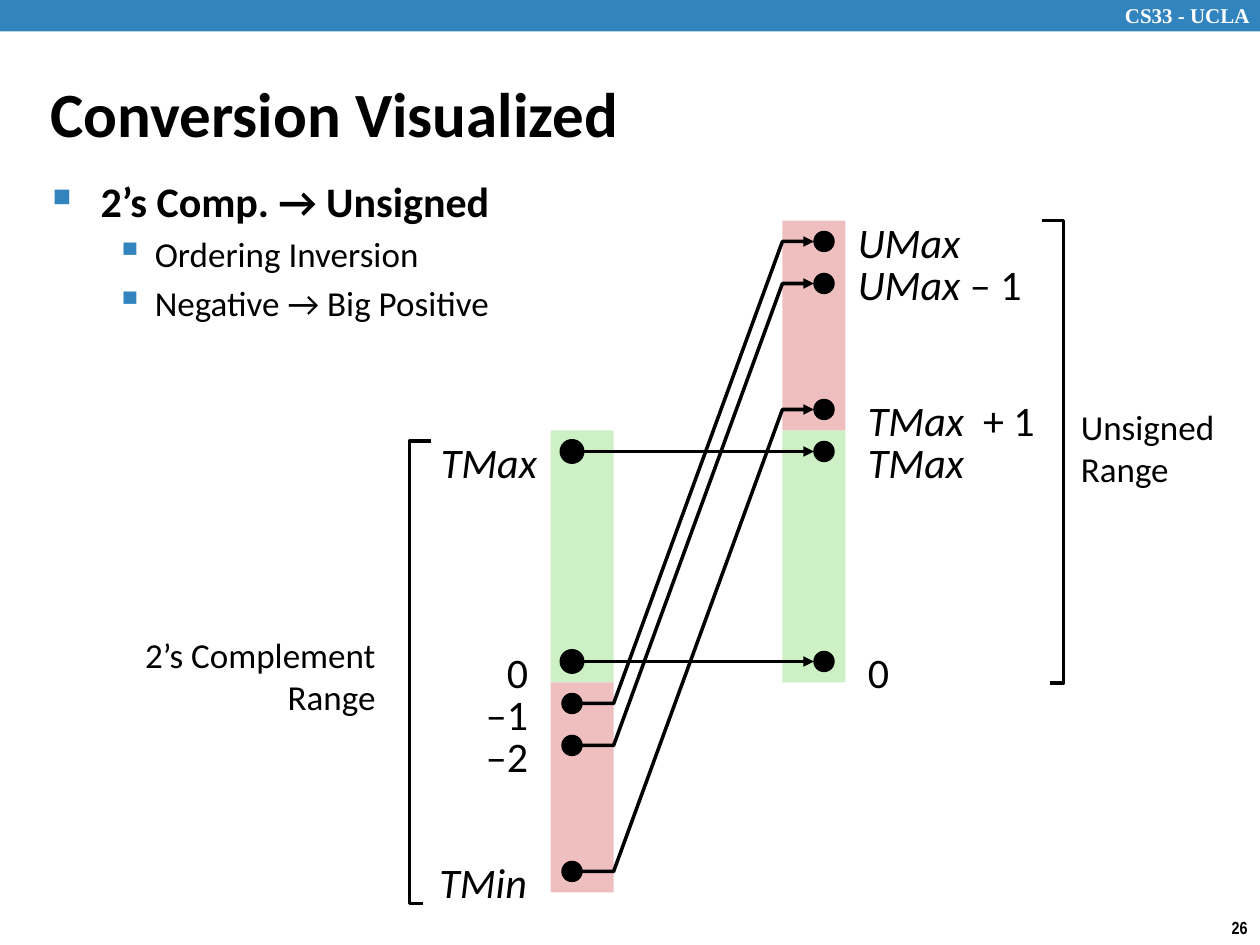
from dataclasses import dataclass

from lxml.etree import SubElement
from pptx import Presentation
from pptx.dml.color import RGBColor
from pptx.enum.shapes import MSO_CONNECTOR as Connector, MSO_SHAPE as Shape
from pptx.enum.text import MSO_ANCHOR as Anchor, PP_ALIGN as Align
from pptx.oxml.ns import qn
from pptx.util import Inches, Pt


@dataclass(frozen=True)
class Theme:
    accent: str = "3284BF"
    ink: str = "000000"
    paper: str = "FFFFFF"
    shared: str = "CDF1C5"
    moved: str = "EFBFBF"
    body_font: str = "Calibri"
    header_font: str = "Times New Roman"
    number_font: str = "Arial Narrow"
    title: int = 36
    label: int = 24
    note: int = 20
    header: int = 12
    number: int = 10
    stroke: int = 2


THEME = Theme()

# Number scale: one row per drawn value, with zero at ZERO_Y
STEP = 1 / 3
ZERO_Y = 5.25
BAR_W, DOT = 0.5, 0.17
SIGNED_BAR, UNSIGNED_BAR = 4.37, 6.21
SIGNED_DOT, UNSIGNED_DOT = 4.54, 6.54


def row_y(row):
    return ZERO_Y - row * STEP


def add_filled(slide, kind, box, color, outlined=False):
    shape = slide.shapes.add_shape(kind, *map(Inches, box))
    shape.shadow.inherit = False
    shape.fill.solid()
    shape.fill.fore_color.rgb = RGBColor.from_string(color)
    if outlined:
        style_line(shape)
    else:
        shape.line.fill.background()


def style_line(shape, arrow=False):
    shape.line.color.rgb = RGBColor.from_string(THEME.ink)
    shape.line.width = Pt(THEME.stroke)
    if arrow:
        SubElement(shape.line._get_or_add_ln(), qn("a:tailEnd"), type="triangle")


def add_bar(slide, left, top_row, rows, color):
    """Add a bar whose top edge lies half a row above top_row."""
    top = row_y(top_row + 0.5)
    add_filled(slide, Shape.RECTANGLE, (left, top, BAR_W, rows * STEP), color)


def add_dot(slide, center_x, row, outlined=False):
    box = (center_x - DOT / 2, row_y(row) - DOT / 2, DOT, DOT)
    add_filled(slide, Shape.OVAL, box, THEME.ink, outlined)


def add_polyline(slide, points, arrow=False):
    start, *rest = [(Inches(x), Inches(y)) for x, y in points]
    builder = slide.shapes.build_freeform(*start)
    builder.add_line_segments(rest, close=False)
    line = builder.convert_to_shape()
    line.shadow.inherit = False
    line.fill.background()
    style_line(line, arrow)


def add_arrow(slide, row):
    y = Inches(row_y(row))
    arrow = slide.shapes.add_connector(
        Connector.STRAIGHT, Inches(4.62), y, Inches(6.46), y)
    style_line(arrow, arrow=True)
    SubElement(arrow._element.spPr, qn("a:effectLst"))


def add_run(paragraph, text, **formats):
    run = paragraph.add_run()
    run.text = text
    values = {"name": THEME.body_font, "size": Pt(THEME.label)} | formats
    color = values.pop("color", THEME.ink)
    for name, value in values.items():
        setattr(run.font, name, value)
    run.font.color.rgb = RGBColor.from_string(color)


def add_frame(slide, box):
    frame = slide.shapes.add_textbox(*map(Inches, box)).text_frame
    frame.word_wrap = True
    return frame


def add_text(slide, box, lines, align=Align.LEFT, anchor=Anchor.TOP, **formats):
    frame = add_frame(slide, box)
    frame.vertical_anchor = anchor
    for i, line in enumerate(lines):
        paragraph = frame.add_paragraph() if i else frame.paragraphs[0]
        paragraph.alignment = align
        add_run(paragraph, line, **formats)


def add_value_label(slide, left, top, width, name, number, align):
    """Add a label with an italic name followed by an upright number."""
    paragraph = add_frame(slide, (left, top, width, 0.51)).paragraphs[0]
    paragraph.alignment = align
    for text, italic in ((name, True), (number, False)):
        if text:
            add_run(paragraph, text, italic=italic)


def add_bullets(slide, box, items):
    frame = add_frame(slide, box)
    looks = (
        {"char": "■", "pct": 60, "margin": 0.38, "hang": 0.38,
         "size": THEME.label, "bold": True},
        {"char": "▪", "pct": 110, "margin": 0.81, "hang": 0.31,
         "size": THEME.note, "bold": False},
    )
    for i, (level, text) in enumerate(items):
        look = looks[level]
        paragraph = frame.add_paragraph() if i else frame.paragraphs[0]
        paragraph.level = level
        props = paragraph._p.get_or_add_pPr()
        props.set("marL", str(Inches(look["margin"])))
        props.set("indent", str(-Inches(look["hang"])))
        color = SubElement(props, qn("a:buClr"))
        SubElement(color, qn("a:srgbClr"), val=THEME.accent)
        SubElement(props, qn("a:buSzPct"), val=str(look["pct"] * 1000))
        SubElement(props, qn("a:buChar"), char=look["char"])
        if i:
            paragraph.space_before = Pt(4)
        add_run(paragraph, text, size=Pt(look["size"]), bold=look["bold"])


def add_page_frame(slide):
    add_filled(slide, Shape.RECTANGLE, (0, 0, 10, 0.25), THEME.accent)
    add_text(slide, (8.83, -0.03, 1.24, 0.3), ["CS33 - UCLA"], bold=True,
             name=THEME.header_font, size=Pt(THEME.header), color=THEME.paper)
    add_text(slide, (9.56, 7.23, 0.44, 0.27), ["26"], Align.RIGHT, bold=True,
             name=THEME.number_font, size=Pt(THEME.number))
    add_text(slide, (0.3, 0.58, 8.69, 0.63), ["Conversion Visualized"],
             anchor=Anchor.MIDDLE, bold=True, size=Pt(THEME.title))


def add_mapping(slide):
    for left in (UNSIGNED_BAR, SIGNED_BAR):
        add_bar(slide, left, 5, 6, THEME.shared)
    add_bar(slide, SIGNED_BAR, -1, 5, THEME.moved)
    add_bar(slide, UNSIGNED_BAR, 10, 5, THEME.moved)

    for row in (0, 5):
        add_dot(slide, SIGNED_DOT, row, outlined=True)
        add_dot(slide, UNSIGNED_DOT, row)
        add_arrow(slide, row)
    for signed, unsigned in ((-1, 10), (-2, 9), (-5, 6)):
        add_dot(slide, SIGNED_DOT, signed)
        add_dot(slide, UNSIGNED_DOT, unsigned)
        start, end = row_y(signed), row_y(unsigned)
        add_polyline(slide, [(4.62, start), (4.87, start), (6.21, end),
                             (6.46, end)], arrow=True)

    for row, right, name, number in (
            (5, 4.36, "TMax", ""), (0, 4.29, "", "0"), (-1, 4.29, "", "–1"),
            (-2, 4.29, "", "–2"), (-5, 4.28, "TMin", "")):
        add_value_label(slide, right - 1.05, row_y(row) - 0.17, 1.05,
                        name, number, Align.RIGHT)
    for row, left, rise, name, number in (
            (10, 6.71, 0.25, "UMax", ""), (9, 6.71, 0.25, "UMax", " – 1"),
            (6, 6.79, 0.17, "TMax  ", "+ 1"), (5, 6.79, 0.17, "TMax", ""),
            (0, 6.79, 0.17, "", "0")):
        add_value_label(slide, left, row_y(row) - rise, 1.6,
                        name, number, Align.LEFT)


def add_ranges(slide):
    add_polyline(slide, [(3.36, 7.17), (3.25, 7.17), (3.25, 3.5), (3.42, 3.5)])
    add_polyline(slide, [(8.33, 5.42), (8.44, 5.42), (8.44, 1.75), (8.27, 1.75)])
    size = Pt(THEME.note)
    add_text(slide, (0.75, 4.98, 2.33, 0.77), ["2’s Complement Range"],
             Align.RIGHT, size=size)
    add_text(slide, (8.48, 3.17, 1.35, 0.77), ["Unsigned", "Range"], size=size)


def main():
    deck = Presentation()
    deck.slide_width, deck.slide_height = Inches(10), Inches(7.5)
    slide = deck.slides.add_slide(deck.slide_layouts[6])
    add_page_frame(slide)
    add_mapping(slide)
    add_ranges(slide)
    add_bullets(slide, (0.32, 1.34, 4.55, 1.88), (
        (0, "2’s Comp. → Unsigned"),
        (1, "Ordering Inversion"),
        (1, "Negative → Big Positive"),
    ))
    deck.save("out.pptx")


if __name__ == "__main__":
    main()
